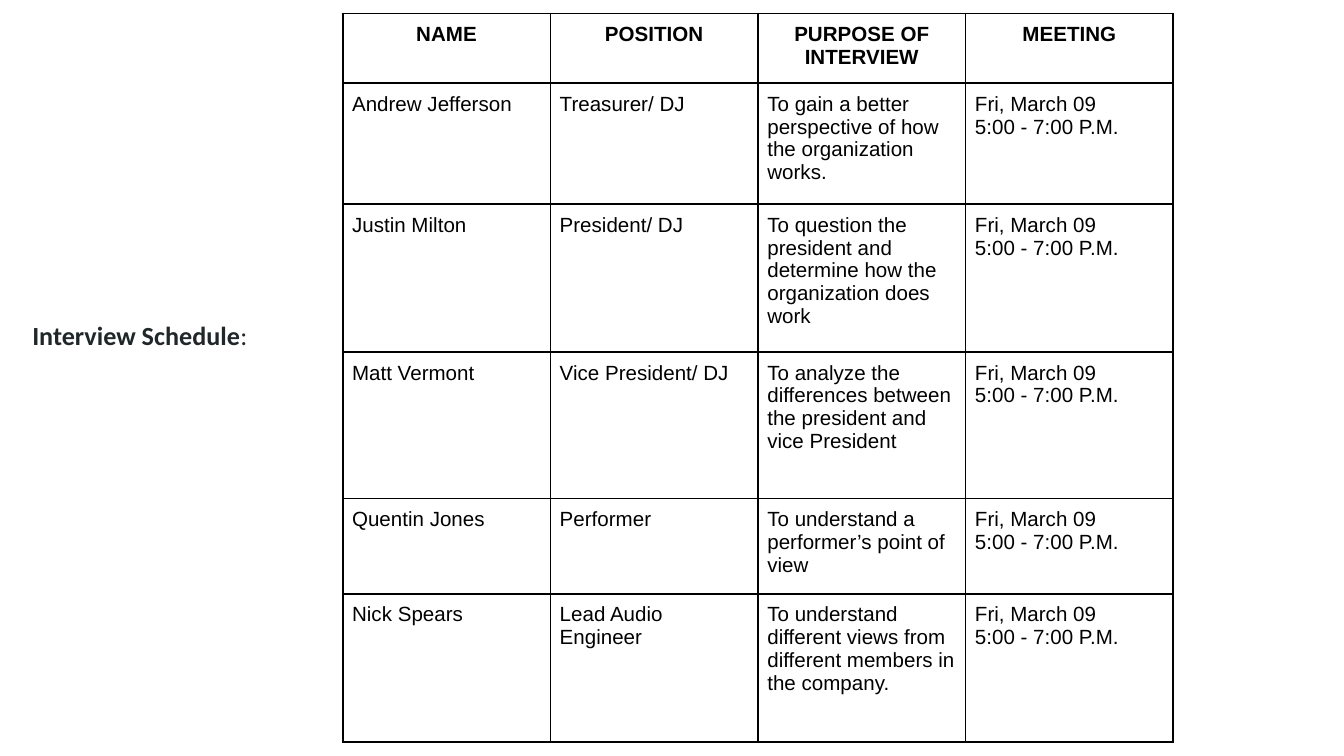
from lxml.etree import fromstring
from pptx import Presentation
from pptx.dml.color import RGBColor
from pptx.enum.text import MSO_ANCHOR, PP_ALIGN
from pptx.oxml.ns import nsdecls
from pptx.util import Inches, Pt

COLORS = {"title": "202729", "text": "000000", "border": "000000"}
HEADERS = ["NAME", "POSITION", "PURPOSE OF INTERVIEW", "MEETING"]
MEETING = "Fri, March 09\n5:00 - 7:00 P.M."
INTERVIEWS = [
    ("Andrew Jefferson", "Treasurer/ DJ",
     "To gain a better perspective of how the organization works."),
    ("Justin Milton", "President/ DJ",
     "To question the president and determine how the organization does work"),
    ("Matt Vermont", "Vice President/ DJ",
     "To analyze the differences between the president and vice President"),
    ("Quentin Jones", "Performer",
     "To understand a performer’s point of view"),
    ("Nick Spears", "Lead Audio Engineer",
     "To understand different views from different members in the company."),
]
ROW_HEIGHTS = [0.52, 0.9, 1.1, 1.09, 0.71, 1.1]


def set_borders(cell):
    """Draw a one-point line on all four sides of a cell."""
    tcPr = cell._tc.get_or_add_tcPr()
    for i, side in enumerate("LRTB"):
        tcPr.insert(i, fromstring(
            f'<a:ln{side} {nsdecls("a")} w="{Pt(1)}"><a:solidFill>'
            f'<a:srgbClr val="{COLORS["border"]}"/></a:solidFill></a:ln{side}>'))


def fill_cell(cell, text, header):
    """Write and format one cell of the schedule."""
    cell.text = text
    cell.margin_left = cell.margin_right = Inches(0.07)
    cell.margin_top = cell.margin_bottom = Inches(0.07)
    cell.vertical_anchor = MSO_ANCHOR.TOP
    cell.fill.background()
    set_borders(cell)
    for p in cell.text_frame.paragraphs:
        p.alignment = PP_ALIGN.CENTER if header else PP_ALIGN.LEFT
        p.font.name = "Arial"
        p.font.size = Pt(11)
        p.font.bold = header
        p.font.color.rgb = RGBColor.from_string(COLORS["text"])


def add_title(s, left, top, width, height):
    """Place the slide title in its placeholder."""
    sp = s.shapes.title
    sp.left, sp.top = Inches(left), Inches(top)
    sp.width, sp.height = Inches(width), Inches(height)
    tf = sp.text_frame
    tf.margin_left = tf.margin_right = Inches(0.1)
    tf.margin_top = tf.margin_bottom = Inches(0.1)
    tf.vertical_anchor = MSO_ANCHOR.TOP
    tf.word_wrap = True
    p = tf.paragraphs[0]
    p.alignment = PP_ALIGN.LEFT
    for text, bold in [("Interview Schedule", True), (":", False)]:
        r = p.add_run()
        r.text = text
        r.font.name = "Calibri"
        r.font.size = Pt(14)
        r.font.bold = bold
        r.font.color.rgb = RGBColor.from_string(COLORS["title"])


def add_schedule(s, left, top, width):
    """Place the interview table with equal columns."""
    rows = [HEADERS] + [(*interview, MEETING) for interview in INTERVIEWS]
    table = s.shapes.add_table(
        len(rows), len(HEADERS), Inches(left), Inches(top),
        Inches(width), Inches(sum(ROW_HEIGHTS))).table
    table.first_row = table.horz_banding = False
    for col in table.columns:
        col.width = Inches(width / len(HEADERS))
    for i, (values, height) in enumerate(zip(rows, ROW_HEIGHTS)):
        table.rows[i].height = Inches(height)
        for j, text in enumerate(values):
            fill_cell(table.cell(i, j), text, header=i == 0)


def main():
    """Build and save the 16:9 slide."""
    prs = Presentation()
    prs.slide_width = Inches(10)
    prs.slide_height = Inches(10 * 9 / 16)
    s = prs.slides.add_slide(prs.slide_layouts[5])
    add_title(s, 0.14, 2.28, 9.31, 0.35)
    add_schedule(s, 2.55, 0.1, 6.18)
    prs.save("out.pptx")


if __name__ == "__main__":
    main()
